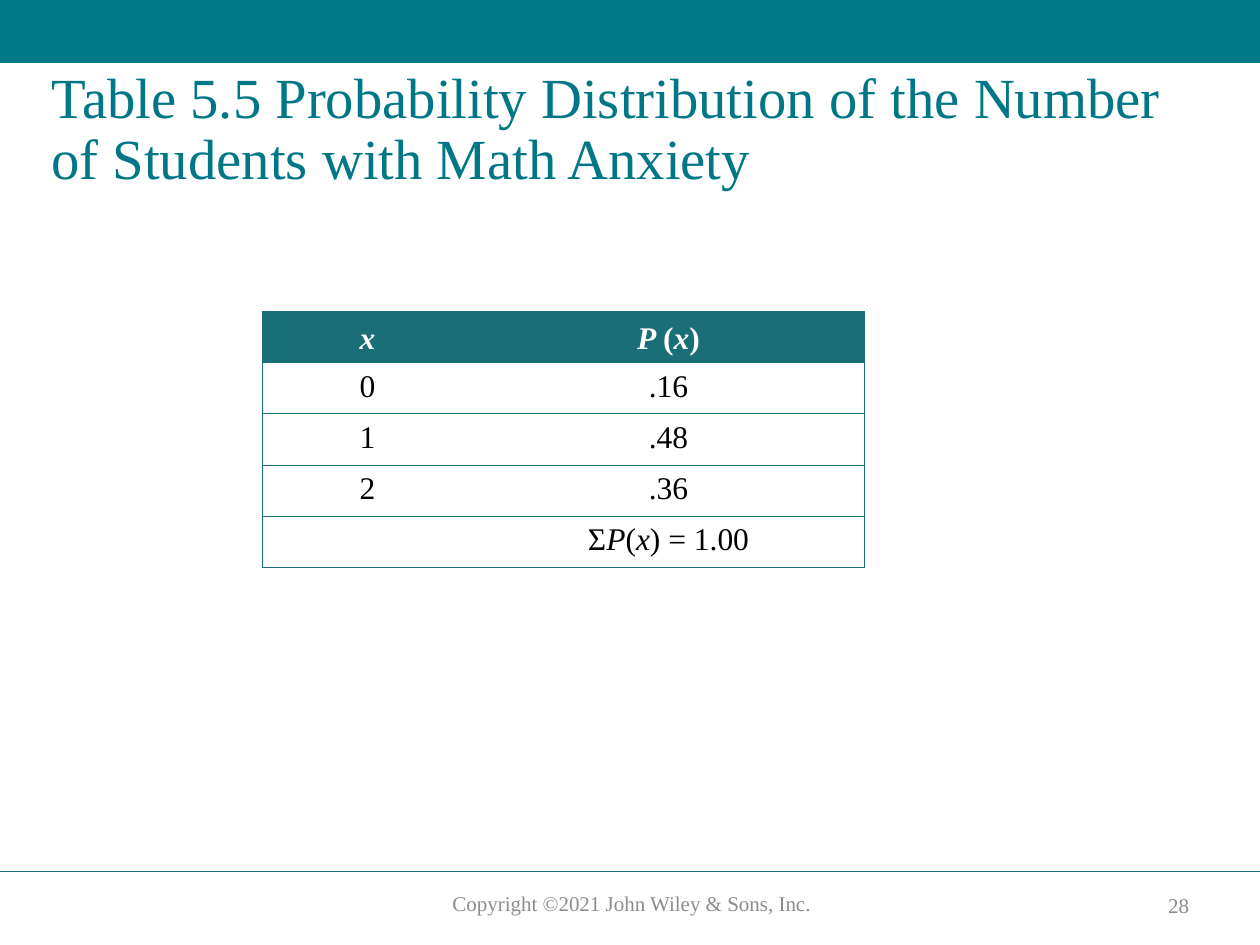
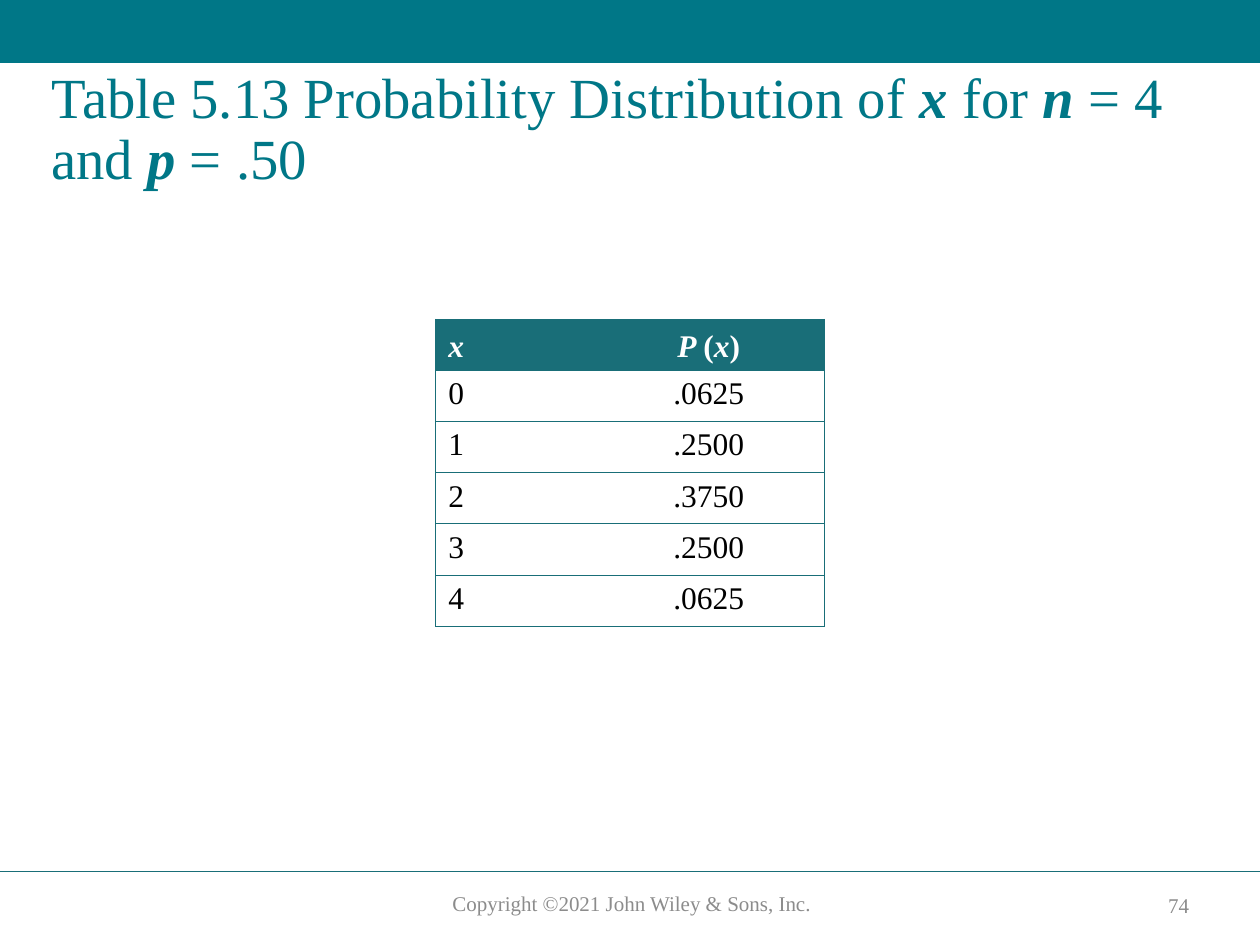
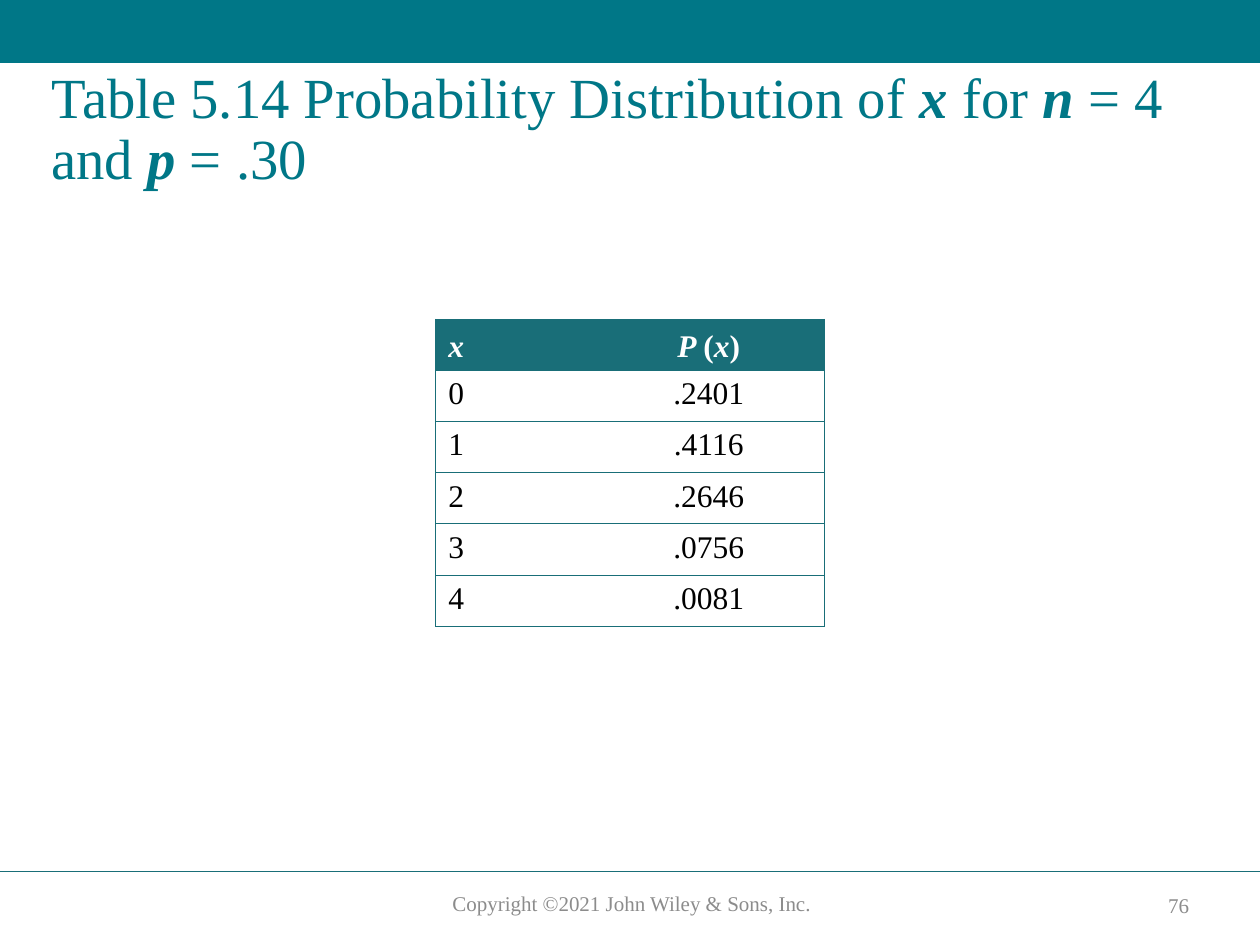
from dataclasses import dataclass

from lxml import etree
from pptx import Presentation
from pptx.dml.color import RGBColor
from pptx.enum.shapes import MSO_CONNECTOR, MSO_SHAPE
from pptx.enum.text import MSO_ANCHOR, PP_ALIGN
from pptx.oxml.ns import qn
from pptx.util import Pt

LEFT, CENTER = PP_ALIGN.LEFT, PP_ALIGN.CENTER
TOP, MIDDLE, BOTTOM = MSO_ANCHOR.TOP, MSO_ANCHOR.MIDDLE, MSO_ANCHOR.BOTTOM
RECTANGLE, STRAIGHT = MSO_SHAPE.RECTANGLE, MSO_CONNECTOR.STRAIGHT


@dataclass(frozen=True)
class Theme:
    font: str = "Times New Roman"
    teal: str = "007787"
    rule: str = "196E78"
    grey: str = "8C8C8C"
    white: str = "FFFFFF"
    black: str = "000000"
    title_size: float = 32.4
    table_size: float = 18
    footer_size: float = 12


@dataclass(frozen=True)
class Box:
    left: float
    top: float
    width: float
    height: float


@dataclass(frozen=True)
class TableLayout:
    left: float
    top: float
    widths: tuple[float, float]
    aligns: tuple


@dataclass(frozen=True)
class TableSlide:
    title: str
    number: int
    layout: TableLayout
    rows: list[tuple[str, str]]


THEME = Theme()
SLIDE_W, SLIDE_H = 720, 540
BAND = Box(0, 0, SLIDE_W, 36)
TITLE = Box(22.3, 36, 671.8, 77.8)
COPYRIGHT = Box(231.8, 505.4, 258.5, 21.6)
PAGE_NUMBER = Box(651.6, 506.9, 43.9, 20.2)
FOOTER_RULE_Y = 498
ROW_H = 29.25
BORDER_W = 0.5

WIDE = TableLayout(150, 178, (120, 224), (CENTER, CENTER))
NARROW = TableLayout(249, 182.4, (90, 132), (LEFT, CENTER))

# Text between asterisks is a variable and is set in italics.
HEADER = ("*x*", "*P\N{HAIR SPACE}*(*x*)".replace("\N{HAIR SPACE}", " "))
SLIDES = [
    TableSlide(
        "Table 5.5 Probability Distribution of the Number of Students with Math Anxiety",
        28, WIDE,
        [("0", ".16"), ("1", ".48"), ("2", ".36"), ("", "Σ*P*(*x*) = 1.00")],
    ),
    TableSlide(
        "Table 5.13 Probability Distribution of *x* for *n* = 4 and *p *= .50",
        74, NARROW,
        [("0", ".0625"), ("1", ".2500"), ("2", ".3750"), ("3", ".2500"), ("4", ".0625")],
    ),
    TableSlide(
        "Table 5.14 Probability Distribution of *x* for *n* = 4 and *p *= .30",
        76, NARROW,
        [("0", ".2401"), ("1", ".4116"), ("2", ".2646"), ("3", ".0756"), ("4", ".0081")],
    ),
]


# Text
def write(p, text: str, size: float, color: str, align=LEFT,
          bold: bool = False, bold_variables: bool = False) -> None:
    p.alignment = align
    p.font.name = THEME.font
    p.font.size = Pt(size)
    p.font.bold = bold
    p.font.color.rgb = RGBColor.from_string(color)
    for i, part in enumerate(text.split("*")):
        if not part:
            continue
        r = p.add_run()
        r.text = part
        if i % 2:
            r.font.italic = True
            if bold_variables:
                r.font.bold = True


def add_text(s, box: Box, anchor=TOP):
    sp = s.shapes.add_textbox(Pt(box.left), Pt(box.top), Pt(box.width), Pt(box.height))
    tf = sp.text_frame
    tf.word_wrap = True
    tf.vertical_anchor = anchor
    return tf.paragraphs[0]


# Band, footer rule, copyright line and page number
def add_frame(s, number: int) -> None:
    sp = s.shapes.add_shape(RECTANGLE, Pt(BAND.left), Pt(BAND.top),
                            Pt(BAND.width), Pt(BAND.height))
    sp.shadow.inherit = False
    sp.fill.solid()
    sp.fill.fore_color.rgb = RGBColor.from_string(THEME.teal)
    sp.line.fill.background()

    rule = s.shapes.add_connector(STRAIGHT, 0, Pt(FOOTER_RULE_Y),
                                  Pt(SLIDE_W), Pt(FOOTER_RULE_Y))
    rule.line.color.rgb = RGBColor.from_string(THEME.rule)
    rule.line.width = Pt(1)
    etree.SubElement(rule._element.spPr, qn("a:effectLst"))

    write(add_text(s, COPYRIGHT), "Copyright ©2021 John Wiley & Sons, Inc.",
          THEME.footer_size, THEME.grey, CENTER)
    write(add_text(s, PAGE_NUMBER, MIDDLE), str(number),
          THEME.footer_size, THEME.grey, CENTER)


def add_title(s, text: str) -> None:
    p = add_text(s, TITLE)
    p.line_spacing = 0.9
    write(p, text, THEME.title_size, THEME.teal, bold_variables=True)


# Table
def set_borders(cell, hidden: str) -> None:
    """Rule every side of the cell except the hidden one."""
    tc_pr = cell._tc.get_or_add_tcPr()
    for i, side in enumerate("LRTB"):
        ln = etree.Element(qn(f"a:ln{side}"), w=str(Pt(BORDER_W)))
        if side == hidden:
            etree.SubElement(ln, qn("a:noFill"))
        else:
            fill = etree.SubElement(ln, qn("a:solidFill"))
            etree.SubElement(fill, qn("a:srgbClr"), val=THEME.rule)
        tc_pr.insert(i, ln)


def add_table(s, layout: TableLayout, rows: list[tuple[str, str]]) -> None:
    rows = [HEADER, *rows]
    table = s.shapes.add_table(len(rows), len(layout.widths), Pt(layout.left),
                               Pt(layout.top), Pt(sum(layout.widths)),
                               Pt(ROW_H * len(rows))).table
    table.first_row = table.horz_banding = False
    for column, width in zip(table.columns, layout.widths):
        column.width = Pt(width)
    for i, row in enumerate(rows):
        table.rows[i].height = Pt(ROW_H)
        is_header = i == 0
        for j, text in enumerate(row):
            cell = table.cell(i, j)
            p = cell.text_frame.paragraphs[0]
            if is_header:
                cell.vertical_anchor = BOTTOM
            else:
                p.space_after = Pt(3)
            write(p, text, THEME.table_size, THEME.white if is_header else THEME.black,
                  layout.aligns[j], bold=is_header)
            cell.fill.solid()
            cell.fill.fore_color.rgb = RGBColor.from_string(
                THEME.rule if is_header else THEME.white)
            set_borders(cell, hidden="R" if j == 0 else "L")


def main() -> None:
    prs = Presentation()
    prs.slide_width, prs.slide_height = Pt(SLIDE_W), Pt(SLIDE_H)
    blank = prs.slide_layouts[6]
    for item in SLIDES:
        s = prs.slides.add_slide(blank)
        add_frame(s, item.number)
        add_title(s, item.title)
        add_table(s, item.layout, item.rows)
    prs.save("out.pptx")


if __name__ == "__main__":
    main()
